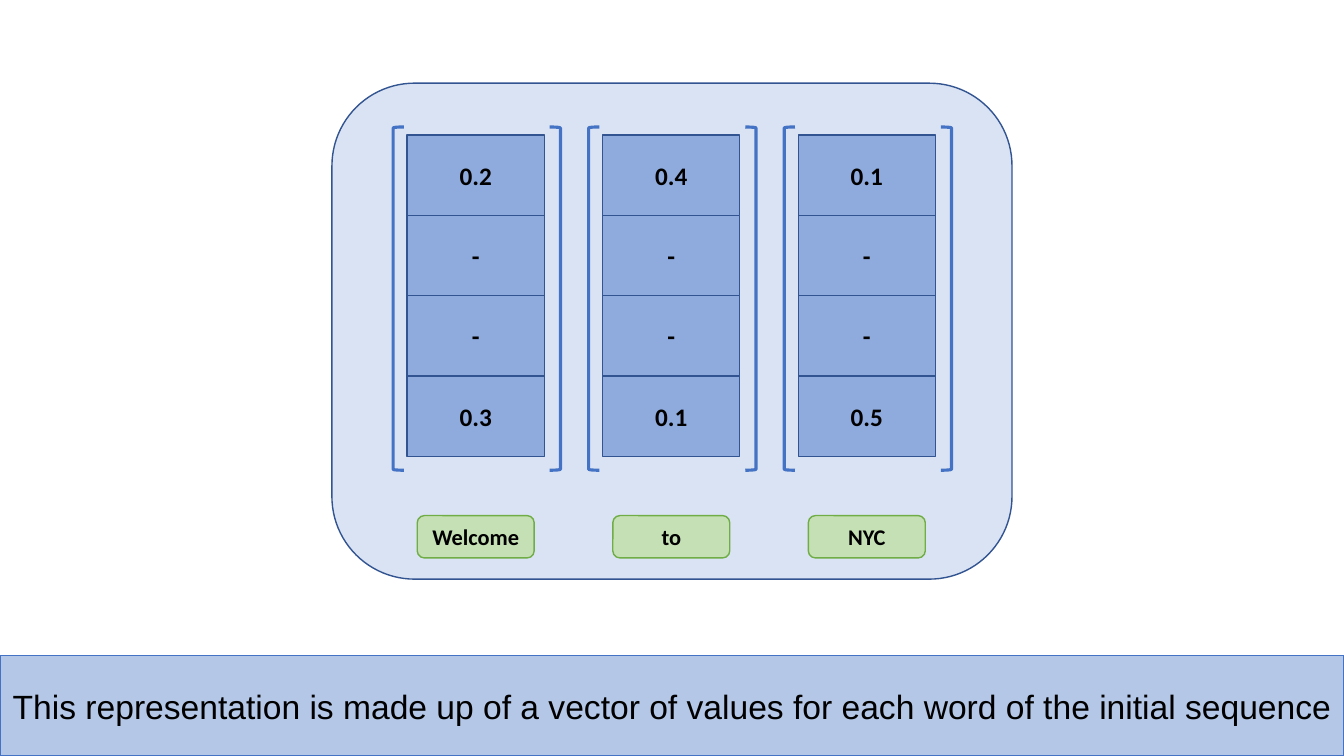
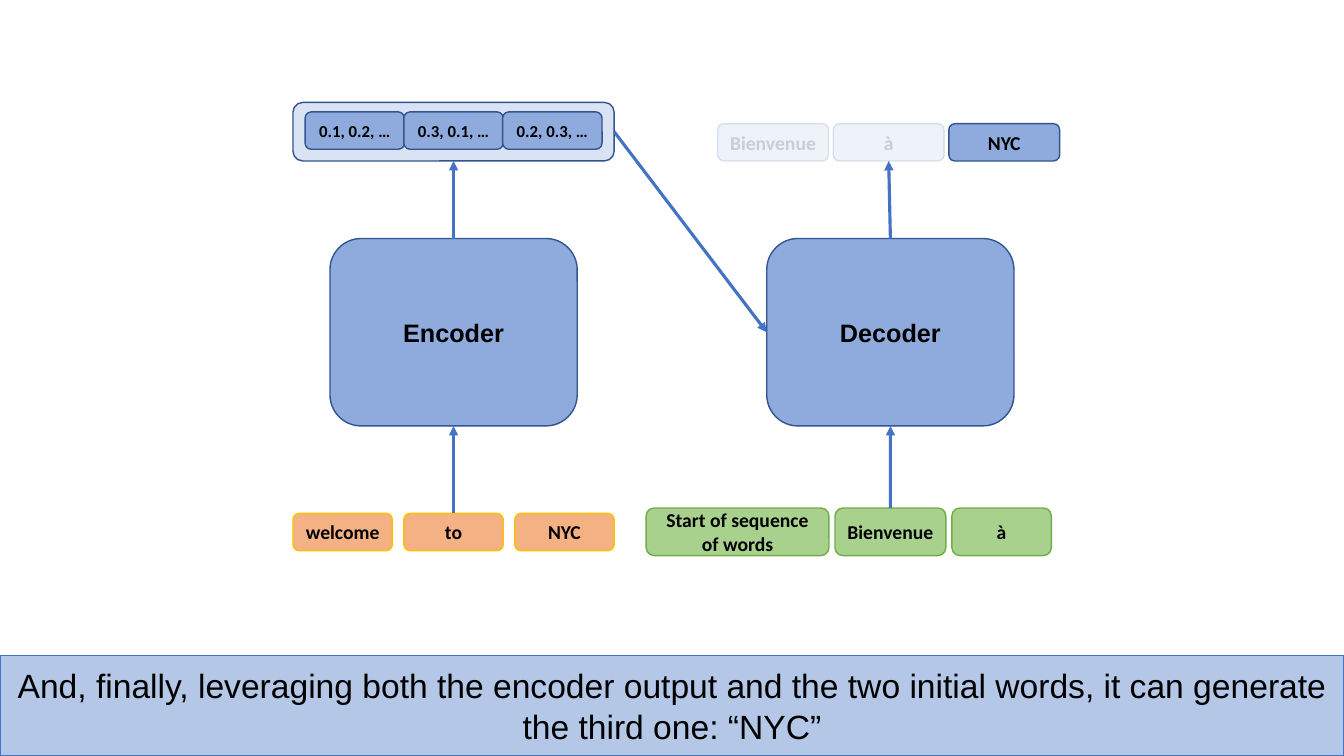
from lxml import etree
from pptx import Presentation
from pptx.dml.color import RGBColor
from pptx.enum import shapes, text
from pptx.oxml.ns import qn
from pptx.util import Inches, Pt

# Shared colours and fonts
BLACK = RGBColor(0x00, 0x00, 0x00)
BLUE = RGBColor(0x44, 0x72, 0xC4)
NAVY = RGBColor(0x32, 0x54, 0x91)
MID_BLUE = RGBColor(0x8F, 0xAA, 0xDC)
BAND_BLUE = RGBColor(0xB4, 0xC7, 0xE7)
PALE_BLUE = RGBColor(0xDA, 0xE3, 0xF3)
GREEN = RGBColor(0x70, 0xAD, 0x47)
MID_GREEN = RGBColor(0xA9, 0xD1, 0x8E)
PALE_GREEN = RGBColor(0xC5, 0xE0, 0xB4)
GOLD = RGBColor(0xFF, 0xC0, 0x00)
ORANGE = RGBColor(0xF4, 0xB1, 0x83)
SANS, BODY = "Arial", "Calibri"
SHAPE = shapes.MSO_SHAPE
ROUND = SHAPE.ROUNDED_RECTANGLE

prs = Presentation()
prs.slide_width, prs.slide_height = Inches(13.333), Inches(7.5)

# The grid: 100 columns by 100 rows
COL, ROW = prs.slide_width / 100, prs.slide_height / 100


def style(sp, txt="", at=(0, 0, 1, 1), fill=None, line=NAVY, width=1,
          size=14, font=BODY, bold=True, alpha=None):
    """Place a shape on the grid (left, top, width, height) and format it."""
    sp.left, sp.width = int(at[0] * COL), int(at[2] * COL)
    sp.top, sp.height = int(at[1] * ROW), int(at[3] * ROW)
    if fill is None:
        sp.fill.background()
    else:
        sp.fill.solid()
        sp.fill.fore_color.rgb = fill
    sp.line.color.rgb, sp.line.width = line, Pt(width)
    if txt:
        tf = sp.text_frame
        tf.word_wrap, tf.auto_size = True, text.MSO_AUTO_SIZE.NONE
        tf.vertical_anchor = text.MSO_ANCHOR.MIDDLE
        p = tf.paragraphs[0]
        p.alignment = text.PP_ALIGN.CENTER
        r = p.add_run()
        r.text = txt
        r.font.name, r.font.size, r.font.bold = font, Pt(size), bold
        r.font.color.rgb = BLACK
    if alpha is not None:
        for clr in sp.element.iter(qn("a:srgbClr")):
            etree.SubElement(clr, qn("a:alpha")).set("val", str(alpha * 1000))


def box(parent, kind, txt="", **fmt):
    """Add a flat preset shape to a slide's or group's shapes."""
    sp = parent.add_shape(kind, 0, 0, 1, 1)
    sp.shadow.inherit = False
    style(sp, txt, **fmt)
    return sp


# Both slides: caption band in the title placeholder
slides = []
for caption in (
    "This representation is made up of a vector of values for each word of the initial sequence",
    "And, finally, leveraging both the encoder output and the two initial words, "
    "it can generate the third one: “NYC”",
):
    s = prs.slides.add_slide(prs.slide_layouts[5])
    style(s.shapes.title, caption, at=(0, 86.67, 100, 13.33), fill=BAND_BLUE,
          line=BLUE, size=24, font=SANS, bold=False)
    slides.append(s.shapes)

# Slide 1: one bracketed vector above each word
group = slides[0].add_group_shape().shapes
box(group, ROUND, at=(24.7, 11, 50.6, 65.6), fill=PALE_BLUE)
vectors = [
    ("Welcome", ("0.2", "-", "-", "0.3")),
    ("to", ("0.4", "-", "-", "0.1")),
    ("NYC", ("0.1", "-", "-", "0.5")),
]
for i, (word, values) in enumerate(vectors):
    x = 30.3 + 14.55 * i
    for j, value in enumerate(values):
        box(group, SHAPE.RECTANGLE, value, at=(x, 17.85 + 10.63 * j, 10.2, 10.63),
            fill=MID_BLUE, size=18)
    box(group, ROUND, word, at=(x + 0.75, 68.2, 8.7, 5.6),
        fill=PALE_GREEN, line=GREEN, size=16)
    for kind, dx in ((SHAPE.LEFT_BRACKET, -1.05), (SHAPE.RIGHT_BRACKET, 10.6)):
        box(group, kind, at=(x + dx, 16.8, 0.8, 45.4), line=BLUE, width=2.25)

# Slide 2: encoder, decoder and the encoder's output
sh = slides[1]
memory = box(sh, ROUND, at=(21.8, 13.55, 23.9, 7.75), fill=PALE_BLUE)
encoder, decoder = [
    box(sh, ROUND, name, at=(x, 31.55, 18.4, 24.8), fill=MID_BLUE, size=18, font=SANS)
    for name, x in (("Encoder", 24.55), ("Decoder", 57.05))
]

# Rows of tokens: texts, widths, left, gap, top, height, format
vector_fmt = dict(fill=MID_BLUE, size=12)
source_fmt = dict(fill=ORANGE, line=GOLD)
target_fmt = dict(fill=MID_GREEN, line=GREEN)
token_rows = [
    (("0.1, 0.2, …", "0.3, 0.1, …", "0.2, 0.3, …"), (7.4,) * 3,
     22.7, -0.05, 14.8, 4.95, vector_fmt),
    (("welcome", "to", "NYC"), (7.4,) * 3, 21.8, 0.85, 67.9, 4.95, source_fmt),
    (("Start of sequence of words", "Bienvenue", "à"), (13.6, 8.25, 7.4),
     48.08, 0.45, 67.2, 6.3, target_fmt),
]
middles = []
for words, widths, x, gap, y, h, fmt in token_rows:
    row = []
    for word, w in zip(words, widths):
        row.append(box(sh, ROUND, word, at=(x, y, w, h), **fmt))
        x += w + gap
    middles.append(row[1])
_, source, target = middles

# Generated words: the earlier ones are faded
outputs = [
    box(sh, ROUND, word, at=(53.4 + 8.6 * i, 16.35, 8.25, 4.95),
        fill=MID_BLUE, alpha=alpha)
    for i, (word, alpha) in enumerate((("Bienvenue", 15), ("à", 15), ("NYC", None)))
]

# Arrows: sides are 0 top, 1 left, 2 bottom, 3 right
for start, side, end, end_side in (
    (source, 0, encoder, 2),
    (encoder, 0, memory, 2),
    (target, 0, decoder, 2),
    (decoder, 0, outputs[1], 2),
    (memory, 3, decoder, 1),
):
    arrow = sh.add_connector(shapes.MSO_CONNECTOR.STRAIGHT, 0, 0, 0, 0)
    arrow.begin_connect(start, side)
    arrow.end_connect(end, end_side)
    arrow.line.color.rgb, arrow.line.width = BLUE, Pt(2.25)
    ln = arrow.element.find(".//" + qn("a:ln"))
    etree.SubElement(ln, qn("a:tailEnd")).set("type", "triangle")
    etree.SubElement(ln.getparent(), qn("a:effectLst"))

prs.save("out.pptx")
